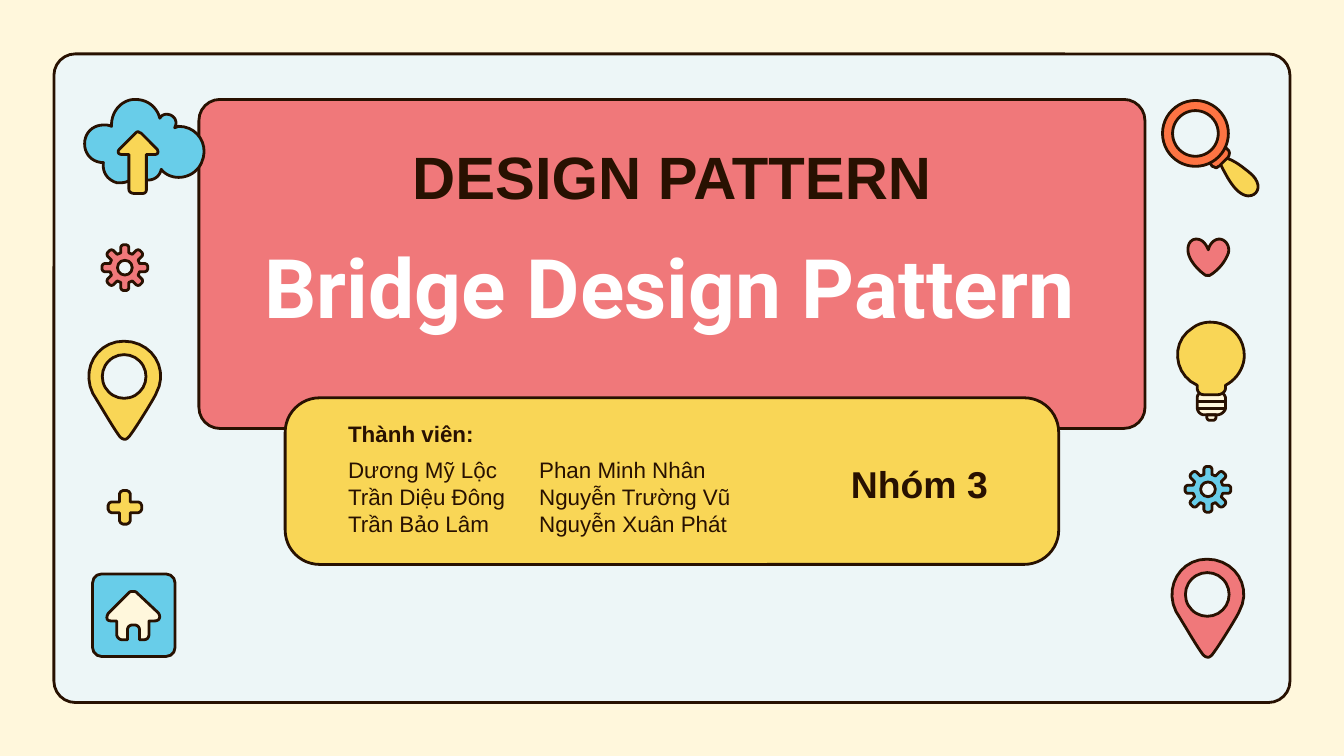
import math

from pptx import Presentation
from pptx import util as u
from pptx.dml.color import RGBColor
from pptx.enum import shapes as kinds, text as txt
from pptx.oxml import parse_xml
from pptx.oxml.ns import nsdecls

CREAM = RGBColor(0xFF, 0xF7, 0xDC)
MIST = RGBColor(0xED, 0xF6, 0xF7)
INK = RGBColor(0x28, 0x11, 0x01)
ROSE = RGBColor(0xF0, 0x78, 0x7A)
GOLD = RGBColor(0xF9, 0xD6, 0x56)
SKY = RGBColor(0x68, 0xCD, 0xE9)
FLAME = RGBColor(0xFE, 0x74, 0x43)
WHITE = RGBColor(0xFF, 0xFF, 0xFF)
ROUND = kinds.MSO_SHAPE.ROUNDED_RECTANGLE
OVAL = kinds.MSO_SHAPE.OVAL
UNIT = 0.0254

CLOUD = """M 38 0 C 37 0 37 0 36 0 C 27 1 20 9 20 19 L 20 20 C 18 19 16 19 14 19
C 6 19 0 25 0 33 C 0 41 6 47 14 47 C 13 54 17 60 24 62 C 25 62 26 62 27 62
C 32 62 37 59 39 54 C 40 58 44 60 47 60 C 52 60 56 57 57 52 C 60 56 65 58 70 58
C 77 58 84 54 87 47 C 93 34 84 20 70 20 C 69 20 68 21 67 21 C 70 16 66 11 61 11
C 59 11 57 12 56 14 C 54 6 47 0 38 0"""
ARROW = """M 40 24 C 39 24 38 25 38 25 L 26 37 C 24 39 25 41 28 41 L 33 41 L 33 67
C 33 69 35 70 37 70 L 43 70 C 45 70 46 69 46 67 L 46 41 L 52 41
C 55 41 55 39 54 37 L 42 25 C 41 25 40 24 40 24"""
DROP = """M 26 0 C 6 0 -6 21 3 39 C 5 42 19 66 23 71 C 24 72 25 73 27 73
C 28 73 29 72 30 71 C 34 66 49 42 50 39 C 60 21 47 0 26 0"""
HEART = """M 7 0 C 3 0 0 4 1 10 C 2 16 8 23 14 27 C 15 27 16 27 17 27
C 24 23 29 16 31 10 C 32 4 28 0 24 0 C 21 0 17 3 16 8 C 14 3 11 0 7 0"""
GLASS = """M 30 0 C 26 0 21 1 17 4 C 0 14 2 39 20 47 L 20 49 C 20 52 22 54 25 54
L 35 54 C 38 54 41 52 41 49 L 41 47 C 49 43 55 34 55 25 C 55 10 43 0 30 0"""
SCREW = """M 22 53 C 20 54 20 55 20 57 L 20 64 C 20 66 22 69 25 69 L 35 69
C 38 69 41 66 41 64 L 41 57 C 41 55 40 54 39 53 L 22 53"""
TIP = "M 27 69 L 27 70 C 27 72 28 73 29 73 L 32 73 C 33 73 34 72 34 70 L 34 69 L 27 69"
GRIP = """M 48 43 L 43 47 C 46 53 49 59 53 64 C 57 69 61 71 64 71
C 72 71 75 61 64 53 C 59 49 54 45 48 43"""
COLLAR = """M 47 35 L 35 46 L 37 49 C 38 49 39 50 40 50 C 41 50 41 49 42 49 L 49 42
C 50 40 50 38 49 37 L 47 35"""
HOUSE = """M 30 13 C 29 13 28 13 27 14 L 12 29 C 10 32 10 35 14 35 L 18 35 L 18 45
C 18 47 20 49 22 49 L 26 49 L 26 42 C 26 39 28 38 30 38 L 31 38
C 33 38 35 39 35 42 L 35 49 L 38 49 C 41 49 42 47 42 45 L 42 35 L 46 35
C 50 35 51 32 49 29 L 33 14 C 32 13 31 13 30 13"""


def paint(shape, fill):
    """Give a shape its flat fill and dark outline."""
    shape.shadow.inherit = False
    shape.fill.solid()
    shape.fill.fore_color.rgb = fill
    shape.line.color.rgb = INK
    shape.line.width = u.Pt(1.5)


def preset(slide, kind, box, fill, bend=None):
    """Add a preset shape in a box given in centimetres."""
    shape = slide.shapes.add_shape(kind, *map(u.Cm, box))
    if bend is not None:
        shape.adjustments[0] = bend
    paint(shape, fill)


def disc(slide, x, y, left, top, size, fill):
    """Add a circle placed in icon units from an icon's corner."""
    box = (x + left * UNIT, y + top * UNIT, size * UNIT, size * UNIT)
    preset(slide, OVAL, box, fill)


def trace(code, steps=10):
    """Turn path commands into points along their lines and curves."""
    points, words = [], iter(code.split())
    for word in words:
        nums = [float(next(words)) for _ in range(6 if word == "C" else 2)]
        ends = list(zip(nums[::2], nums[1::2]))
        if word != "C":
            points += ends
            continue
        knots = [points[-1]] + ends
        for step in range(1, steps + 1):
            t = step / steps
            mix = ((1 - t) ** 3, 3 * t * (1 - t) ** 2, 3 * t * t * (1 - t), t ** 3)
            points.append(tuple(sum(m * k[i] for m, k in zip(mix, knots)) for i in (0, 1)))
    return points


def outline(slide, x, y, points, fill):
    """Add a closed outline whose points are icon units from a corner."""
    spots = [(u.Cm(x + px * UNIT), u.Cm(y + py * UNIT)) for px, py in points]
    pen = slide.shapes.build_freeform(*spots[0])
    pen.add_line_segments(spots[1:], close=True)
    paint(pen.convert_to_shape(), fill)


def spokes(count, half, root, reach, soft):
    """Return the points of a ring of equal, softened teeth."""
    edge = [(root, -half), (reach - soft, -half), (reach - soft / 3, -half + soft / 3),
            (reach, -half + soft)]
    tooth = edge + [(a, -b) for a, b in reversed(edge)]
    points = []
    for i in range(count):
        cos, sin = math.cos(math.tau * i / count), math.sin(math.tau * i / count)
        points += [(a * cos - b * sin, a * sin + b * cos) for a, b in tooth]
    return points


def write(slide, box, lines, size, font="Arial", color=INK, bold=False,
          align=txt.PP_ALIGN.LEFT, pad=0.25):
    """Add a text box with one paragraph for each line."""
    frame = slide.shapes.add_textbox(*map(u.Cm, box)).text_frame
    frame.word_wrap = True
    frame.margin_left = frame.margin_right = u.Cm(0.25)
    frame.margin_top = frame.margin_bottom = u.Cm(pad)
    for i, line in enumerate(lines):
        para = frame.paragraphs[0] if i == 0 else frame.add_paragraph()
        para.text, para.alignment = line, align
        para.font.size, para.font.name = u.Pt(size), font
        para.font.bold, para.font.color.rgb = bold, color


def upload(slide, x, y):
    """Draw a cloud with an upward arrow."""
    outline(slide, x, y, trace(CLOUD), SKY)
    outline(slide, x, y, trace(ARROW), GOLD)


def gear(slide, x, y, fill):
    """Draw a gear around a centre."""
    outline(slide, x, y, spokes(8, 3, 11, 17, 1.8), fill)
    disc(slide, x, y, -5.5, -5.5, 11, MIST)


def pin(slide, x, y, fill):
    """Draw a map pin."""
    outline(slide, x, y, trace(DROP), fill)
    disc(slide, x, y, 10, 10, 32.5, MIST)


def home(slide, x, y):
    """Draw a house on a rounded tile."""
    preset(slide, ROUND, (x, y, 1.56, 1.56), SKY, 0.11)
    outline(slide, x, y, trace(HOUSE), CREAM)


def lens(slide, x, y):
    """Draw a magnifying glass."""
    outline(slide, x, y, trace(GRIP), GOLD)
    outline(slide, x, y, trace(COLLAR), FLAME)
    disc(slide, x, y, 0, 0, 49, FLAME)
    disc(slide, x, y, 7.5, 7.5, 34, MIST)


def bulb(slide, x, y):
    """Draw a light bulb with a threaded base."""
    outline(slide, x, y, trace(SCREW), CREAM)
    outline(slide, x, y, trace(TIP), CREAM)
    for row in (59, 64):
        level = u.Cm(y + row * UNIT)
        line = slide.shapes.add_connector(
            kinds.MSO_CONNECTOR.STRAIGHT,
            u.Cm(x + 20 * UNIT), level, u.Cm(x + 41 * UNIT), level)
        line.line.color.rgb, line.line.width = INK, u.Pt(1.5)
        props = line._element.spPr
        props.append(parse_xml("<a:effectLst %s/>" % nsdecls("a")))
    outline(slide, x, y, trace(GLASS), GOLD)


def banner(slide, x, y, w, h):
    """Place the red title panel."""
    preset(slide, ROUND, (x, y, w, h), ROSE, 0.064)
    write(slide, (x + 1.73, y + 0.63, w - 3.46, 1.63), ["DESIGN PATTERN"], 32,
          bold=True, align=txt.PP_ALIGN.CENTER, pad=0.13)
    write(slide, (x + 0.99, y + 2.46, w - 1.98, 2.13), ["Bridge Design Pattern"], 44,
          font="Roboto", color=WHITE, bold=True, pad=0.13)


def team(slide, x, y, w, h):
    """Place the yellow card with the group and its members."""
    preset(slide, ROUND, (x, y, w, h), GOLD, 0.207)
    write(slide, (x + 0.94, y + 0.18, 2.97, 0.97), ["Thành viên:"], 12, bold=True)
    write(slide, (x + 0.94, y + 0.86, 4.01, 1.85),
          ["Dương Mỹ Lộc", "Trần Diệu Đông", "Trần Bảo Lâm"], 12)
    write(slide, (x + 4.55, y + 0.86, 4.17, 1.85),
          ["Phan Minh Nhân", "Nguyễn Trường Vũ", "Nguyễn Xuân Phát"], 12)
    write(slide, (x + 10.44, y + 0.94, 3.25, 1.37), ["Nhóm 3"], 20, bold=True)


def left(slide, x, y):
    """Place the icons of the left column."""
    upload(slide, x, y)
    gear(slide, x + 0.76, y + 3.18, ROSE)
    pin(slide, x + 0.08, y + 4.57, GOLD)
    outline(slide, x + 0.76, y + 7.71, spokes(4, 4, 4, 12.5, 2.5), GOLD)
    home(slide, x + 0.15, y + 8.97)


def right(slide, x, y):
    """Place the icons of the right column."""
    lens(slide, x, y)
    outline(slide, x + 0.46, y + 2.62, trace(HEART), ROSE)
    bulb(slide, x + 0.15, y + 4.19)
    gear(slide, x + 0.86, y + 7.35, SKY)
    pin(slide, x + 0.18, y + 8.67, ROSE)


def main():
    """Build the cover slide."""
    deck = Presentation()
    deck.slide_width, deck.slide_height = u.Cm(25.4), u.Cm(14.29)
    slide = deck.slides.add_slide(deck.slide_layouts[6])
    slide.background.fill.solid()
    slide.background.fill.fore_color.rgb = CREAM
    preset(slide, ROUND, (1.02, 1.02, 23.36, 12.26), MIST, 0.033)
    banner(slide, 3.76, 1.88, 17.88, 6.22)
    left(slide, 1.6, 1.88)
    right(slide, 21.97, 1.9)
    team(slide, 5.39, 7.52, 14.62, 3.15)
    deck.save("out.pptx")


if __name__ == "__main__":
    main()
